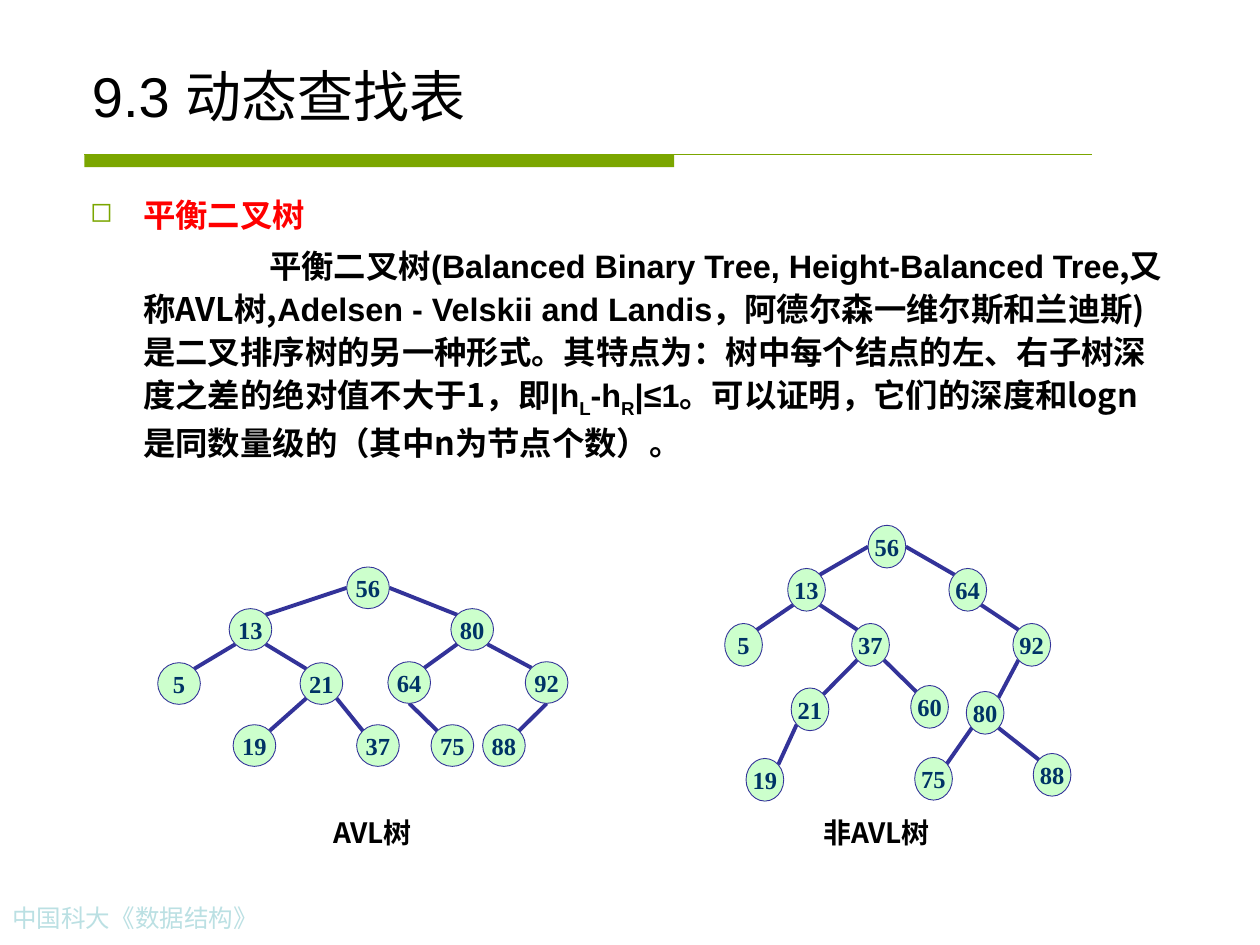
from math import cos, radians, sin

from lxml import etree
from pptx import Presentation
from pptx.dml.color import RGBColor
from pptx.enum.shapes import MSO_CONNECTOR, MSO_SHAPE
from pptx.enum.text import MSO_ANCHOR, PP_ALIGN
from pptx.oxml.ns import qn
from pptx.util import Cm, Pt

STRAIGHT = MSO_CONNECTOR.STRAIGHT
OVAL, RECTANGLE = MSO_SHAPE.OVAL, MSO_SHAPE.RECTANGLE
BOTTOM, MIDDLE, TOP = MSO_ANCHOR.BOTTOM, MSO_ANCHOR.MIDDLE, MSO_ANCHOR.TOP
LEFT, CENTER = PP_ALIGN.LEFT, PP_ALIGN.CENTER

CJK, ARIAL, TIMES = "Noto Sans CJK SC", "Arial", "Times New Roman"
GREEN, RED, BLACK = "7BA600", "FF0000", "000000"
NODE_FILL, NODE_LINE, NODE_TEXT = "CCFFCC", "333399", "003366"

TITLE = "9.3 动态查找表"
FOOTER = "中国科大《数据结构》"
HEADING = "平衡二叉树"
DEFINITION = [
    ("平衡二叉树", CJK, 0),
    ("(Balanced Binary Tree, Height-Balanced Tree", ARIAL, 0),
    (",又称AVL树,", CJK, 0),
    ("Adelsen - Velskii and Landis", ARIAL, 0),
    ("，阿德尔森一维尔斯和兰迪斯)是二叉排序树的另一种形式。其特点为：树中每个结点的左、"
     "右子树深度之差的绝对值不大于1，即", CJK, 0),
    ("|h", ARIAL, 0),
    ("L", ARIAL, -25),
    ("-h", ARIAL, 0),
    ("R", ARIAL, -25),
    ("|≤1", ARIAL, 0),
    ("。可以证明，它们的深度和logn是同数量级的（其中n为节点个数）。", CJK, 0),
]

TREES = [
    {
        "caption": "非AVL树", "caption_left": 16.08, "root": 56, "node_size": (0.76, 0.86),
        "nodes": {
            56: (17.5, 10.59), 13: (15.88, 11.46), 64: (19.13, 11.46),
            5: (14.61, 12.57), 37: (17.17, 12.57), 92: (20.42, 12.57),
            21: (15.95, 13.87), 60: (18.36, 13.82), 80: (19.48, 13.94),
            19: (15.04, 15.29), 75: (18.44, 15.27), 88: (20.83, 15.19),
        },
        "edges": [(56, 13), (56, 64), (13, 5), (13, 37), (37, 21), (37, 60),
                  (64, 92), (92, 80), (80, 75), (80, 88), (21, 19)],
        "bottom_exits": [],
    },
    {
        "caption": "AVL树", "caption_left": 5.92, "root": 56, "node_size": (0.86, 0.84),
        "nodes": {
            56: (6.99, 11.43), 13: (4.62, 12.27), 80: (9.09, 12.27),
            5: (3.18, 13.36), 21: (6.05, 13.36), 64: (7.82, 13.34), 92: (10.59, 13.34),
            19: (4.7, 14.61), 37: (7.19, 14.61), 75: (8.69, 14.61), 88: (9.73, 14.61),
        },
        "edges": [(56, 13), (56, 80), (13, 5), (13, 21), (21, 19), (21, 37),
                  (80, 64), (80, 92), (64, 75), (92, 88)],
        "bottom_exits": [64, 92],
    },
]


def color(value):
    return RGBColor.from_string(value)


def add_text(paragraph, text, *, size, font=CJK, fill=BLACK, bold=False, baseline=0):
    run = paragraph.add_run()
    run.text = text
    run.font.size, run.font.bold, run.font.name = Pt(size), bold, font
    run.font.color.rgb = color(fill)
    properties = run.font._element
    etree.SubElement(properties, qn("a:ea"), typeface=CJK)
    if baseline:
        properties.set("baseline", str(baseline * 1000))


def format_frame(shape, *, anchor=TOP, align=LEFT, wrap=True):
    frame = shape.text_frame
    frame.word_wrap, frame.vertical_anchor = wrap, anchor
    frame.paragraphs[0].alignment = align
    return frame.paragraphs[0]


def add_box(slide, left, top, width, height, align=LEFT):
    box = slide.shapes.add_textbox(Cm(left), Cm(top), Cm(width), Cm(height))
    return box, format_frame(box, align=align)


def add_line(shapes, start, end, fill, width):
    line = shapes.add_connector(STRAIGHT, *(Cm(value) for value in (*start, *end)))
    line.line.color.rgb, line.line.width = color(fill), Pt(width)
    etree.SubElement(line._element.spPr, qn("a:effectLst"))


def add_filled(shapes, kind, left, top, width, height, fill):
    shape = shapes.add_shape(kind, Cm(left), Cm(top), Cm(width), Cm(height))
    shape.shadow.inherit = False
    shape.fill.solid()
    shape.fill.fore_color.rgb = color(fill)
    return shape


def set_indent(paragraph, margin, first_line):
    properties = paragraph._p.get_or_add_pPr()
    properties.set("marL", str(Cm(margin)))
    properties.set("indent", str(Cm(first_line)))
    return properties


def add_bullet(properties):
    bullet_color = etree.SubElement(properties, qn("a:buClr"))
    etree.SubElement(bullet_color, qn("a:srgbClr"), val=GREEN)
    etree.SubElement(properties, qn("a:buSzPct"), val="85000")
    etree.SubElement(properties, qn("a:buChar"), char="◻")


def rim_point(tree, key, angle):
    left, top = tree["nodes"][key]
    width, height = tree["node_size"]
    return (left + width / 2 * (1 + cos(radians(angle))),
            top + height / 2 * (1 + sin(radians(angle))))


def edge_ends(tree, parent, child):
    to_right = tree["nodes"][child][0] > tree["nodes"][parent][0]
    if parent == tree["root"]:
        leave = 0 if to_right else 180
    elif parent in tree["bottom_exits"]:
        leave = 90
    else:
        leave = 45 if to_right else 135
    enter = 225 if to_right else 315
    return rim_point(tree, parent, leave), rim_point(tree, child, enter)


def add_tree(slide, tree):
    shapes = slide.shapes.add_group_shape().shapes
    for parent, child in tree["edges"]:
        add_line(shapes, *edge_ends(tree, parent, child), NODE_LINE, 2.25)
    for key, (left, top) in tree["nodes"].items():
        node = add_filled(shapes, OVAL, left, top, *tree["node_size"], NODE_FILL)
        node.line.color.rgb, node.line.width = color(NODE_LINE), Pt(0.5)
        paragraph = format_frame(node, anchor=MIDDLE, align=CENTER, wrap=False)
        add_text(paragraph, str(key), size=14, font=TIMES, fill=NODE_TEXT, bold=True)
    _, caption = add_box(slide, tree["caption_left"], 16.31, 3.18, 0.94, CENTER)
    add_text(caption, tree["caption"], size=16, bold=True)


def main():
    presentation = Presentation()
    presentation.slide_width, presentation.slide_height = Cm(25.4), Cm(19.05)
    slide = presentation.slides.add_slide(presentation.slide_layouts[5])

    title = slide.shapes.title
    title.left, title.top, title.width, title.height = Cm(1.6), Cm(0.84), Cm(22.23), Cm(1.88)
    add_text(format_frame(title, anchor=BOTTOM), TITLE, size=32, font=ARIAL)

    bar = add_filled(slide.shapes, RECTANGLE, 1.7, 3.12, 11.89, 0.25, GREEN)
    bar.line.fill.background()
    add_line(slide.shapes, (1.7, 3.12), (22.02, 3.12), GREEN, 0.75)

    _, footer = add_box(slide, 0, 18.08, 7.9, 0.86)
    add_text(footer, FOOTER, size=14, font=TIMES, fill="BBE0E3")

    body, heading = add_box(slide, 1.57, 3.73, 22.23, 6.86)
    add_bullet(set_indent(heading, 1.07, -1.07))
    add_text(heading, HEADING, size=18.5, fill=RED, bold=True)
    definition = body.text_frame.add_paragraph()
    set_indent(definition, 1.07, 2.54)
    definition.space_before = Pt(5)
    for text, font, baseline in DEFINITION:
        add_text(definition, text, size=18.5, font=font, bold=True, baseline=baseline)
    for paragraph in (heading, definition):
        paragraph.line_spacing = 1.1

    for tree in TREES:
        add_tree(slide, tree)
    presentation.save("out.pptx")


if __name__ == "__main__":
    main()
